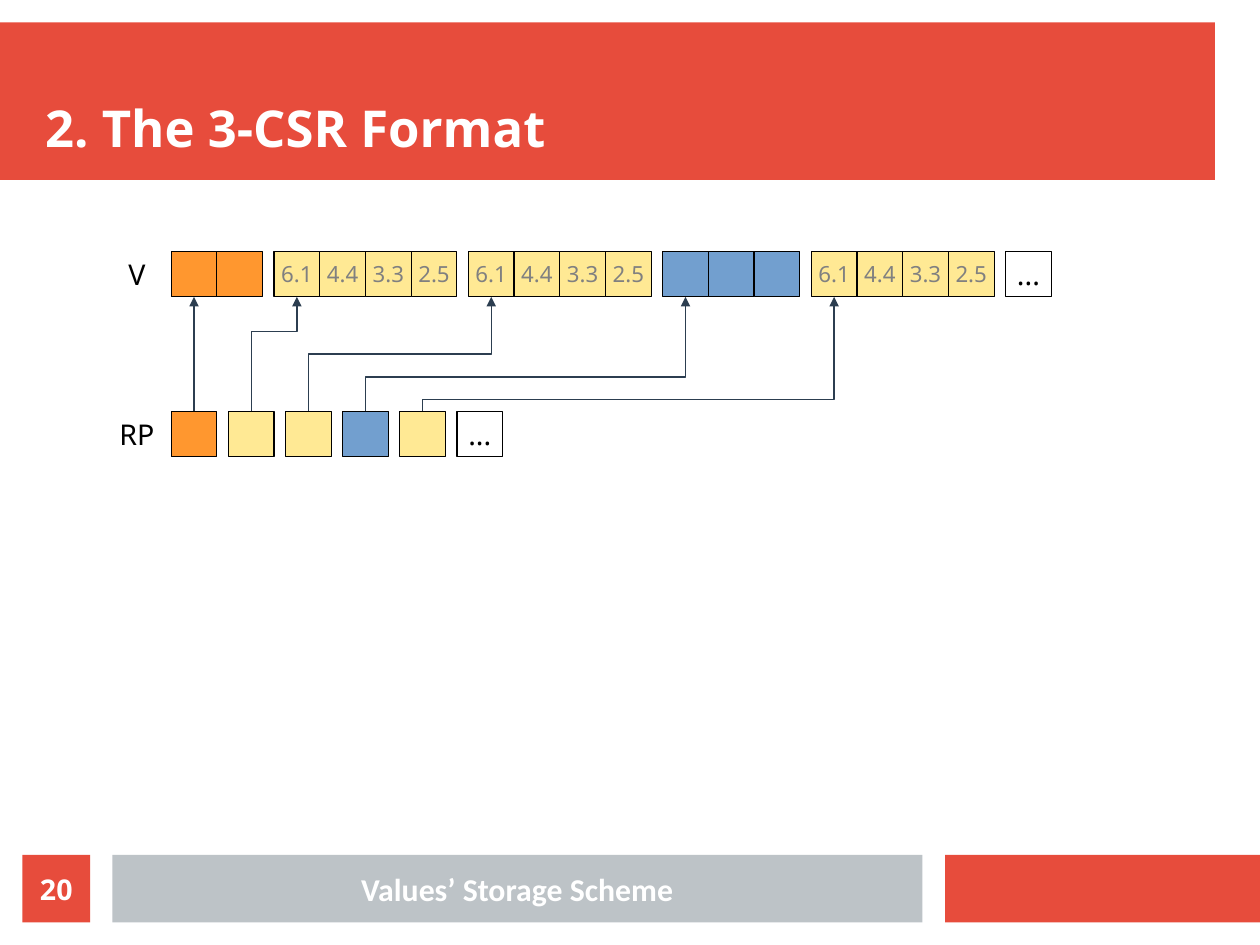
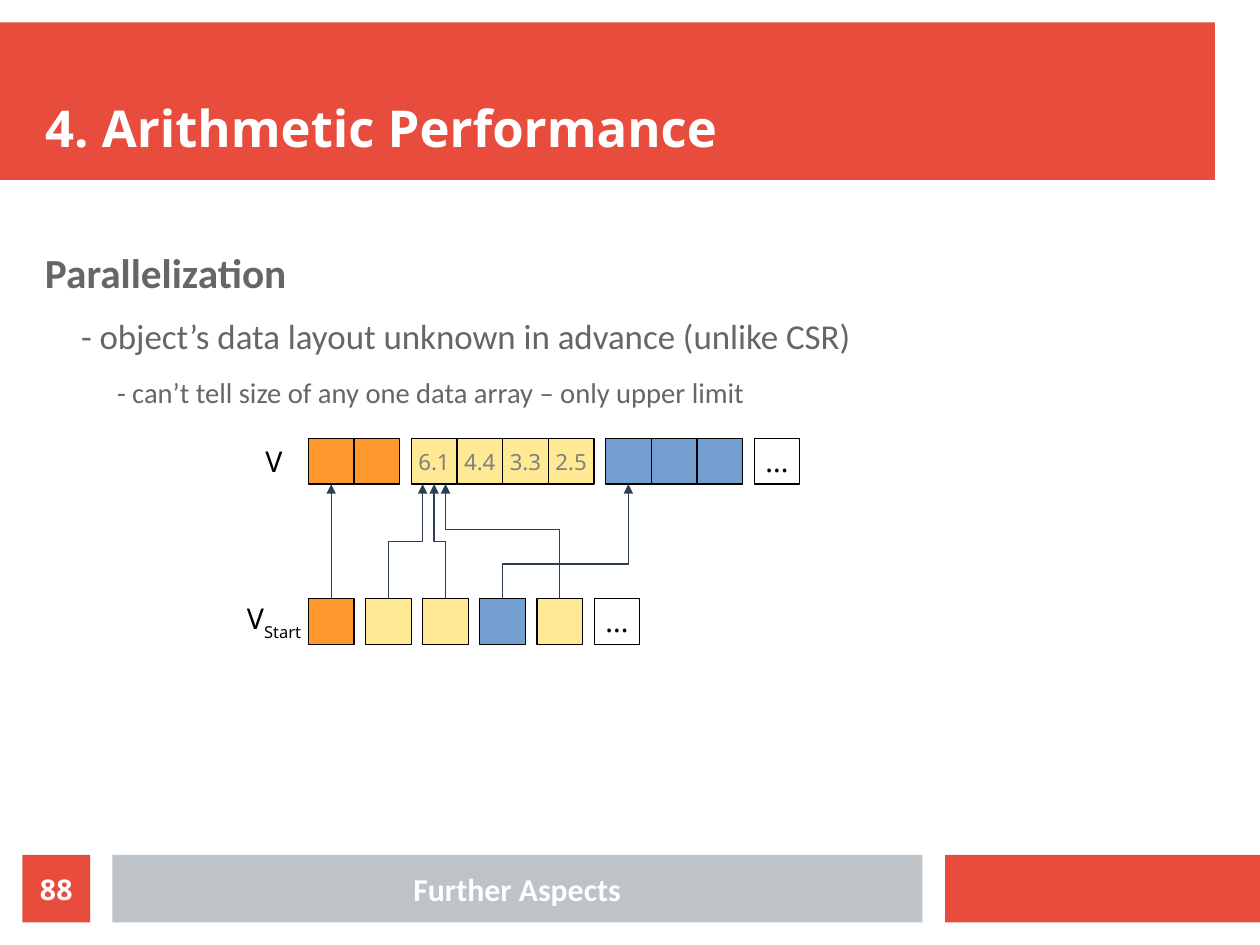
"""Builds two slides on a sparse-matrix storage format, laid out on a grid of tenths of an inch."""
from dataclasses import dataclass

from lxml import etree
from pptx import Presentation
from pptx.dml.color import RGBColor
from pptx.enum.shapes import MSO_CONNECTOR, MSO_SHAPE
from pptx.enum.text import MSO_ANCHOR, PP_ALIGN
from pptx.oxml.ns import qn
from pptx.util import Cm, Inches, Pt

RECT = MSO_SHAPE.RECTANGLE
STRAIGHT, ELBOW = MSO_CONNECTOR.STRAIGHT, MSO_CONNECTOR.ELBOW
LEFT, CENTER = PP_ALIGN.LEFT, PP_ALIGN.CENTER
TOP, MIDDLE, BOTTOM = MSO_ANCHOR.TOP, MSO_ANCHOR.MIDDLE, MSO_ANCHOR.BOTTOM
TOP_SIDE, BOTTOM_SIDE = 0, 2


@dataclass(frozen=True)
class Theme:
    red: str = "E74C3C"
    grey: str = "BDC3C7"
    white: str = "FFFFFF"
    black: str = "000000"
    body: str = "666666"
    value: str = "808080"
    arrow: str = "2C3E50"
    orange: str = "FF972F"
    yellow: str = "FFE994"
    blue: str = "729FCF"
    head_font: str = "Noto Sans"
    text_font: str = "Calibri"
    title_size: int = 32
    footer_size: int = 20
    label_size: int = 18
    value_size: int = 14


T = Theme()
CELL, GAP, DROP, LABEL = 4, 1, 14, 6
PAIR = (T.orange, ["", ""])
VALUES = (T.yellow, ["6.1", "4.4", "3.3", "2.5"])
TRIPLE = (T.blue, ["", "", ""])
REST = (None, ["..."])
STARTS = [T.orange, T.yellow, T.yellow, T.blue, T.yellow, None]


def grid(n):
    return Inches(n / 10)


def write(tf, text, sub="", size=T.label_size, font=T.head_font, color=T.black,
          bold=False, align=CENTER, indent=0, after=0):
    p = tf.paragraphs[0]
    if p.runs:
        p = tf.add_paragraph()
    p.alignment = align
    p.space_after = Pt(after)
    p._p.get_or_add_pPr().set("marL", str(grid(indent)))
    for part in filter(None, (text, sub)):
        r = p.add_run()
        r.text = part
        r.font.size, r.font.name, r.font.bold = Pt(size), font, bold
        r.font.color.rgb = RGBColor.from_string(color)
        if part == sub:
            r.font._element.set("baseline", "-33000")


class Deck:
    def __init__(self, prs):
        self.prs = prs
        self.s = None

    def frame(self, sp, anchor=MIDDLE, wrap=True, inset=(0, 0)):
        tf = sp.text_frame
        tf.word_wrap, tf.vertical_anchor = wrap, anchor
        tf.margin_left = tf.margin_right = grid(inset[0])
        tf.margin_top = tf.margin_bottom = grid(inset[1])
        return tf

    def rect(self, x, y, w, h, fill, line=None):
        sp = self.s.shapes.add_shape(RECT, grid(x), grid(y), grid(w), grid(h))
        sp.shadow.inherit = False
        if fill:
            sp.fill.solid()
            sp.fill.fore_color.rgb = RGBColor.from_string(fill)
        else:
            sp.fill.background()
        if line:
            sp.line.color.rgb = RGBColor.from_string(line)
            sp.line.width = Pt(0)
        else:
            sp.line.fill.background()
        return sp

    def box(self, x, y, w, h, **layout):
        sp = self.s.shapes.add_textbox(grid(x), grid(y), grid(w), grid(h))
        return self.frame(sp, **layout)

    def slide(self, title, footer, number):
        self.s = self.prs.slides.add_slide(self.prs.slide_layouts[6])
        self.rect(0, 1.97, 106.3, 13.78, T.red)
        self.rect(82.68, 74.8, 27.56, 5.91, T.red)
        self.rect(9.84, 74.8, 70.87, 5.91, T.grey)
        write(self.box(3.94, 3.94, 102.36, 9.84, anchor=BOTTOM), title,
              size=T.title_size, color=T.white, bold=True, align=LEFT)
        write(self.box(10, 75, 70.5, 5.6), footer, size=T.footer_size,
              font=T.text_font, color=T.white, bold=True)
        badge = self.rect(1.97, 74.8, 5.91, 5.91, T.red)
        write(self.frame(badge), number, color=T.white, bold=True)

    def bullets(self, items):
        tf = self.box(3.94, 21.65, 100.4, 51.2, anchor=TOP)
        for level, (text, size, after) in enumerate(items):
            write(tf, text, size=size, font=T.text_font, color=T.body, bold=level == 0,
                  align=LEFT, indent=3.15 * level, after=after)

    def cell(self, x, y, fill, text=""):
        sp = self.rect(x, y, CELL, CELL, fill, T.black)
        if text:
            style = dict(size=T.value_size, color=T.value) if fill else {}
            write(self.frame(sp, wrap=False, inset=(1, 0.5)), text, **style)
        return sp

    def label(self, x, y, text, sub=""):
        write(self.box(x - LABEL, y, LABEL, CELL), text, sub)

    def arrow(self, kind, x1, y1, x2, y2):
        c = self.s.shapes.add_connector(kind, grid(x1), grid(y1), grid(x2), grid(y2))
        c.line.color.rgb = RGBColor.from_string(T.arrow)
        c.line.width = Pt(0.79)
        etree.SubElement(c.line._get_or_add_ln(), qn("a:tailEnd"), type="triangle")
        etree.SubElement(c._element.spPr, qn("a:effectLst"))
        return c

    def riser(self, x1, y1, x2, y2, bend):
        mx, my = (x1 + x2) / 2, (y1 + y2) / 2
        w, h = abs(y2 - y1) / 2, abs(x2 - x1) / 2
        spPr = self.arrow(ELBOW, mx - w, my - h, mx + w, my + h)._element.spPr
        spPr.xfrm.set("rot", str((90 if x2 > x1 else 270) * 60000))
        spPr.xfrm.set("flipV", "1")
        if x2 > x1:
            spPr.xfrm.set("flipH", "1")
        guides = spPr.find(qn("a:prstGeom")).get_or_add_avLst()
        etree.SubElement(guides, qn("a:gd"), name="adj1", fmla=f"val {round(bend * 100000)}")

    def storage(self, x, y, label, sub, groups, pointers):
        self.label(x, y, "V")
        self.label(x, y + DROP, label, sub)
        heads, left = [], x
        for fill, texts in groups:
            cells = [self.cell(left + i * CELL, y, fill, t) for i, t in enumerate(texts)]
            heads.append((cells[0], left + CELL / 2))
            left += len(texts) * CELL + GAP
        starts = [self.cell(x + i * (CELL + GAP), y + DROP, fill, "" if fill else "...")
                  for i, fill in enumerate(STARTS)]
        for i, (group, shift, bend) in enumerate(pointers):
            head, target = heads[group]
            x1 = x + i * (CELL + GAP) + CELL / 2
            ends = (x1, y + DROP, target + shift, y + CELL)
            if x1 == target + shift:
                c = self.arrow(STRAIGHT, *ends)
                c.begin_connect(starts[i], TOP_SIDE)
                c.end_connect(head, BOTTOM_SIDE)
            else:
                self.riser(*ends, bend)


def main():
    prs = Presentation()
    prs.slide_width, prs.slide_height = Cm(28), Cm(21)
    deck = Deck(prs)
    deck.slide("2. The 3-CSR Format", "Values’ Storage Scheme", "20")
    deck.storage(14.98, 21.98, "RP", "", [PAIR, VALUES, VALUES, TRIPLE, VALUES, REST],
                 [(0, 0, 0), (1, 0, 0.7), (2, 0, 0.5), (3, 0, 0.3), (4, 0, 0.1)])

    deck.slide("4. Arithmetic Performance", "Further Aspects", "88")
    deck.bullets([
        ("Parallelization", 26, 11.4),
        ("- object’s data layout unknown in advance (unlike CSR)", 22, 11.3),
        ("- can’t tell size of any one data array – only upper limit", 18, 8.5),
    ])
    deck.storage(26.98, 38.36, "V", "Start", [PAIR, VALUES, TRIPLE, REST],
                 [(0, 0, 0), (1, -1, 0.5), (1, 0, 0.5), (2, 0, 0.3), (1, 1, 0.6)])
    prs.save("out.pptx")


if __name__ == "__main__":
    main()
